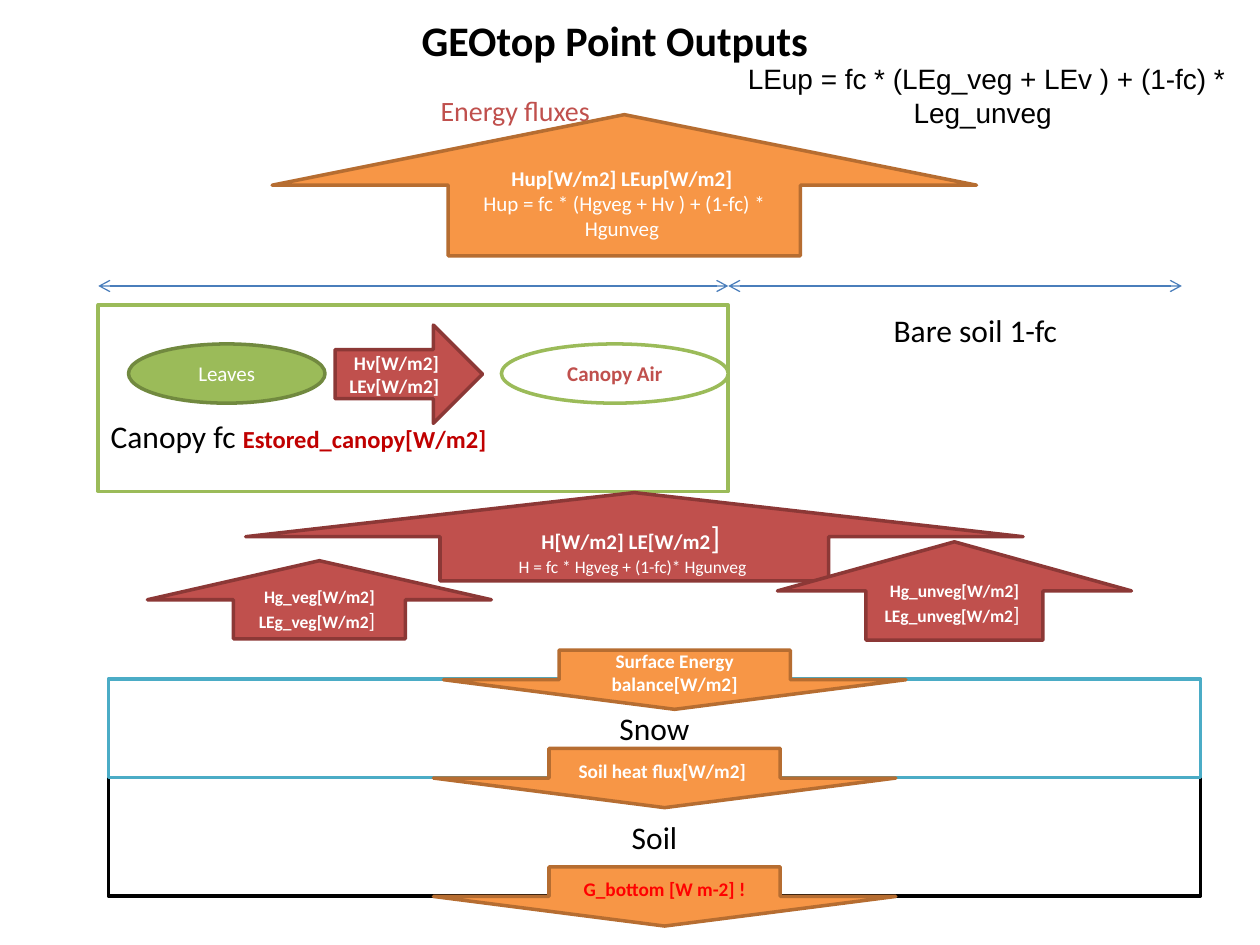
import pptx
import pptx.util
import pptx.dml.color
import pptx.enum.shapes
import pptx.enum.text
import pptx.oxml
import pptx.oxml.ns
from dataclasses import dataclass

Inches = pptx.util.Inches
Pt = pptx.util.Pt
SHAPE = pptx.enum.shapes.MSO_SHAPE
ANCHOR = pptx.enum.text.MSO_ANCHOR
ALIGN = pptx.enum.text.PP_ALIGN


@dataclass(frozen=True)
class Theme:
    font: str = "Calibri"
    formula_font: str = "Arial"
    black: str = "000000"
    white: str = "FFFFFF"
    red: str = "C0504D"
    red_edge: str = "8C3836"
    orange: str = "F79646"
    orange_edge: str = "B66D31"
    green: str = "9BBB59"
    green_edge: str = "71893F"
    teal: str = "4BACC6"
    blue: str = "4A7EBB"
    stored: str = "C00000"
    alert: str = "FF0000"
    title: int = 24
    label: int = 18
    heading: int = 16
    stored_size: int = 14
    body: int = 12
    flux: int = 11
    small: int = 10
    edge: float = 2
    thin: float = 0.75


def rgb(value):
    return pptx.dml.color.RGBColor.from_string(value)


class Slide:
    """Holds the theme and the current slide."""

    def __init__(self, prs, theme):
        self.theme = theme
        self.s = prs.slides.add_slide(prs.slide_layouts[5])

    def fill_text(self, sp, paragraphs, align=ALIGN.CENTER,
                  inset=(0.1, 0.05, 0.1, 0.05), anchor=ANCHOR.MIDDLE):
        """Each paragraph is a list of (text, font values) runs."""
        tf = sp.text_frame
        left, top, right, bottom = map(Inches, inset)
        frame = dict(word_wrap=True, vertical_anchor=anchor, margin_left=left,
                     margin_top=top, margin_right=right, margin_bottom=bottom)
        for name, value in frame.items():
            setattr(tf, name, value)
        for i, runs in enumerate(paragraphs):
            p = tf.add_paragraph() if i else tf.paragraphs[0]
            p.alignment = align
            for text, values in runs:
                r = p.add_run()
                r.text = text
                values = {"name": self.theme.font, "bold": False, **values}
                r.font.color.rgb = rgb(values.pop("color", self.theme.black))
                for name, value in values.items():
                    setattr(r.font, name, value)

    def title(self, at, text):
        sp = self.s.shapes.title
        for name, value in zip(("left", "top", "width", "height"), at):
            setattr(sp, name, Inches(value))
        font = dict(size=Pt(self.theme.title), bold=True)
        self.fill_text(sp, [[(text, font)]], inset=(0, 0, 0, 0))

    def text(self, at, text, **font):
        sp = self.s.shapes.add_textbox(*map(Inches, at))
        self.fill_text(sp, [[(text, font)]], anchor=ANCHOR.TOP)

    def shape(self, kind, at, fill, edge, paragraphs, **layout):
        sp = self.s.shapes.add_shape(kind, *map(Inches, at))
        sp.shadow.inherit = False
        sp.fill.solid()
        sp.fill.fore_color.rgb = rgb(fill)
        sp.line.color.rgb = rgb(edge)
        sp.line.width = Pt(self.theme.edge)
        self.fill_text(sp, paragraphs, **layout)

    def span(self, x1, x2, y):
        """Thin horizontal line with an open arrowhead at both ends."""
        cn = self.s.shapes.add_connector(
            pptx.enum.shapes.MSO_CONNECTOR.STRAIGHT,
            Inches(x1), Inches(y), Inches(x2), Inches(y))
        cn.line.color.rgb = rgb(self.theme.blue)
        cn.line.width = Pt(self.theme.thin)
        ln = cn.line._get_or_add_ln()
        for end in ("a:headEnd", "a:tailEnd"):
            ln.append(pptx.oxml.parse_xml(
                f'<{end} {pptx.oxml.ns.nsdecls("a")} type="arrow"/>'))
        cn._element.spPr.append(pptx.oxml.parse_xml(
            f'<a:effectLst {pptx.oxml.ns.nsdecls("a")}/>'))


def main():
    prs = pptx.Presentation()
    prs.slide_width, prs.slide_height = Inches(10), Inches(7.5)
    t = Theme()
    s = Slide(prs, t)

    def font(size, color=t.white, bold=False):
        return dict(size=Pt(size), color=color, bold=bold)

    # Headings
    s.title((0.63, 0.08, 8.5, 0.47), "GEOtop Point Outputs")
    s.text((0.59, 0.69, 7, 0.4), "Energy fluxes", **font(t.heading, t.red))

    # Soil and snow layers
    layers = [("Soil", 6.17, 0.94, t.black), ("Snow", 5.39, 0.78, t.teal)]
    for name, top, height, edge in layers:
        s.shape(SHAPE.RECTANGLE, (0.86, top, 8.67, height), t.white, edge,
                [[(name, font(t.label, t.black))]])

    # Canopy and bare soil fractions
    s.shape(SHAPE.RECTANGLE, (0.78, 2.42, 5, 1.48), t.white, t.green,
            [[("Canopy fc ", font(t.label, t.black)),
              ("Estored_canopy[W/m2]", font(t.stored_size, t.stored, True))]],
            align=ALIGN.LEFT, anchor=ANCHOR.BOTTOM, inset=(0.1, 0.05, 0.1, 0.29))
    s.text((6.95, 2.42, 1.64, 0.4), "Bare soil 1-fc ", **font(t.label, t.black))
    for x1, x2 in ((0.78, 5.78), (5.78, 9.38)):
        s.span(x1, x2, 2.27)

    # Leaves and canopy air
    s.shape(SHAPE.OVAL, (1.02, 2.73, 1.56, 0.47), t.green, t.green_edge,
            [[("Leaves", font(t.body))]])
    s.shape(SHAPE.OVAL, (3.98, 2.73, 1.8, 0.47), t.white, t.green,
            [[("Canopy Air", font(t.body, t.red, True))]])

    # Turbulent fluxes from canopy and ground
    red_arrows = [
        (SHAPE.UP_ARROW, (1.95, 3.91, 6.17, 0.7),
         [[("H[W/m2] LE[W/m2", font(t.body, bold=True)), ("] ", font(t.label))],
          [("H = fc * Hgveg + (1-fc)* Hgunveg ", font(t.small))]]),
        (SHAPE.RIGHT_ARROW, (2.66, 2.58, 1.17, 0.78),
         [[("Hv[W/m2] LEv[W/m2] ", font(t.flux, bold=True))]]),
    ]
    for cover, at in (("veg", (1.17, 4.45, 2.73, 0.62)),
                      ("unveg", (6.17, 4.3, 2.81, 0.78))):
        red_arrows.append((SHAPE.UP_ARROW, at, [
            [(f"Hg_{cover}[W/m2] LEg_{cover}[W/m2", font(t.small, bold=True)),
             ("] ", font(t.body))]]))
    for kind, at, paragraphs in red_arrows:
        s.shape(kind, at, t.red, t.red_edge, paragraphs)

    # Total upward flux
    s.shape(SHAPE.UP_ARROW, (2.16, 0.91, 5.59, 1.12), t.orange, t.orange_edge,
            [[("Hup[W/m2] LEup[W/m2] ", font(t.body, bold=True))],
             [("Hup = fc * (Hgveg + Hv ) + (1-fc) * Hgunveg ", font(t.body))]])

    # Downward fluxes through the layers
    down_arrows = [("Surface Energy balance[W/m2]", 3.52, 5.16, t.white),
                   ("G_bottom [W m-2] !", 3.44, 6.88, t.alert),
                   ("Soil heat flux[W/m2] ", 3.44, 5.94, t.white)]
    for text, left, top, color in down_arrows:
        s.shape(SHAPE.DOWN_ARROW, (left, top, 3.67, 0.47), t.orange, t.orange_edge,
                [[(text, font(t.flux, color, True))]])

    # Latent heat formula
    s.text((5.63, 0.44, 4.4, 0.64),
           "LEup = fc * (LEg_veg + LEv ) + (1-fc) * Leg_unveg ",
           name=t.formula_font, **font(t.heading, t.black))

    prs.save("out.pptx")


if __name__ == "__main__":
    main()
